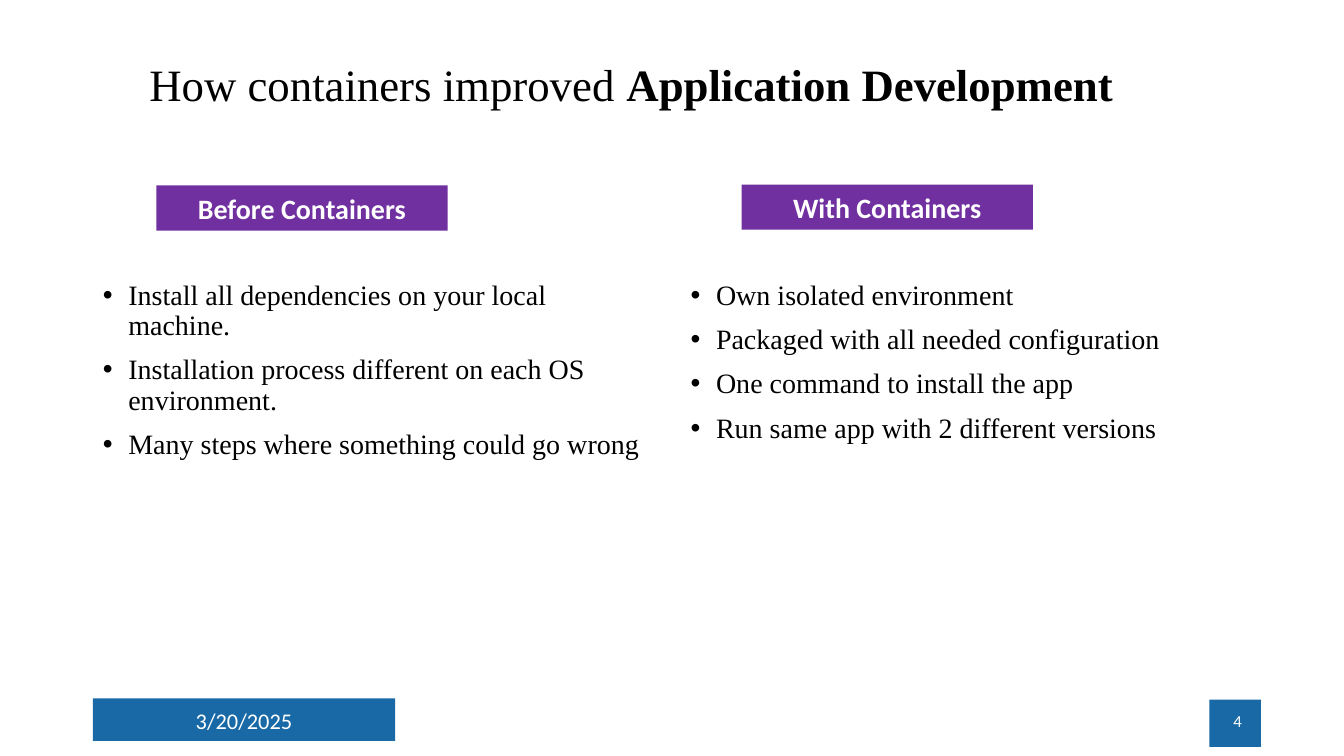
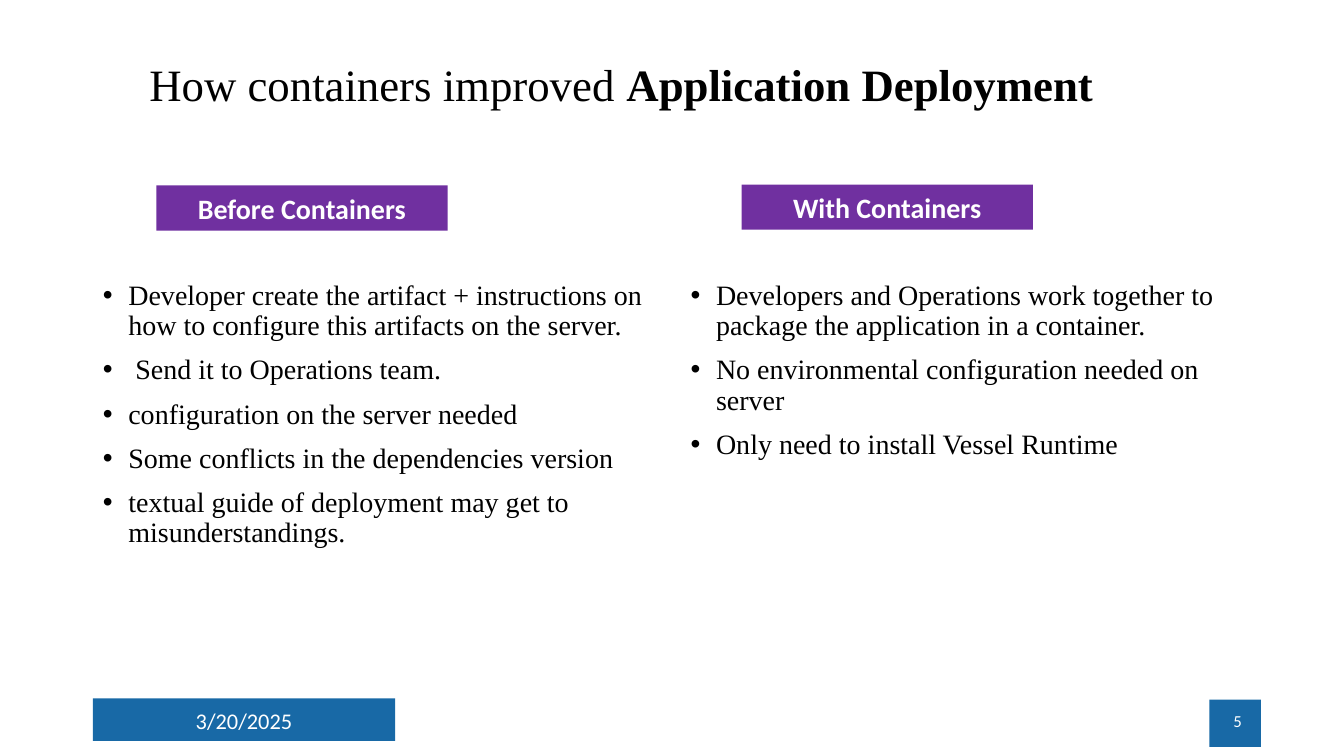
import pptx
import pptx.dml.color
import pptx.enum.shapes
import pptx.enum.text
import pptx.oxml
import pptx.oxml.ns
import pptx.util

Cm = pptx.util.Cm
Pt = pptx.util.Pt
PP_ALIGN = pptx.enum.text.PP_ALIGN
MSO_ANCHOR = pptx.enum.text.MSO_ANCHOR

BLACK = pptx.dml.color.RGBColor(0x00, 0x00, 0x00)
WHITE = pptx.dml.color.RGBColor(0xFF, 0xFF, 0xFF)
BLUE = pptx.dml.color.RGBColor(0x18, 0x69, 0xA6)
PURPLE = pptx.dml.color.RGBColor(0x70, 0x30, 0xA0)
SERIF = "Times New Roman"
SANS = "Calibri"

FIRST_NUMBER = 4
DATE = "3/20/2025"
HEADINGS = ["Before Containers", "With Containers"]
SLIDES = [
    ("Application Development", [
        ["Install all dependencies on your local machine.",
         "Installation process different on each OS environment.",
         "Many steps where something could go wrong"],
        ["Own isolated environment",
         "Packaged with all needed configuration",
         "One command to install the app",
         "Run same app with 2 different versions"],
    ]),
    ("Application Deployment", [
        ["Developer create the artifact + instructions on how to configure this artifacts on the server.",
         " Send it to Operations team.",
         "configuration on the server needed",
         "Some conflicts in the dependencies version",
         "textual guide of deployment may get to misunderstandings."],
        ["Developers and Operations work together to package the application in a container.",
         "No environmental configuration needed on server",
         "Only need to install Vessel Runtime"],
    ]),
]

# Placeholder positions on the comparison layout: left, top, width, height in cm
PLACES = {
    0: (3.51, 0.94, 30.35, 2.49),
    1: (3.94, 4.67, 7.34, 1.14),
    2: (2.34, 6.96, 14.33, 10.24),
    3: (18.69, 4.65, 7.34, 1.14),
    4: (17.15, 6.96, 14.4, 10.24),
}
BANDS = [(2.34, 17.6, 7.62, 1.07), (30.48, 17.63, 1.3, 1.19)]


def add_run(paragraph, text, size, font_name, color, bold=False):
    run = paragraph.add_run()
    run.text = text
    run.font.size = Pt(size)
    run.font.name = font_name
    run.font.color.rgb = color
    run.font.bold = bold
    return run


def add_footer_text(slide, left, text, size, alignment):
    text_box = slide.shapes.add_textbox(Cm(left), Cm(17.65), Cm(7.62), Cm(1.02))
    text_box.text_frame.word_wrap = True
    text_box.text_frame.vertical_anchor = MSO_ANCHOR.MIDDLE
    paragraph = text_box.text_frame.paragraphs[0]
    paragraph.alignment = alignment
    return add_run(paragraph, text, size, SANS, WHITE)


presentation = pptx.Presentation()
presentation.slide_width = Cm(33.87)
presentation.slide_height = Cm(19.05)
presentation.element.set("firstSlideNum", str(FIRST_NUMBER))

# Shared layout: placeholder positions
layout = presentation.slide_layouts.get_by_name("Comparison")
for placeholder in layout.placeholders:
    place = PLACES.get(placeholder.placeholder_format.idx)
    if place:
        placeholder.left, placeholder.top, placeholder.width, placeholder.height = map(Cm, place)

slides = [presentation.slides.add_slide(layout) for _ in SLIDES]

# Shared layout: blue footer bands, drawn on a slide and moved to the layout
for band_id, place in enumerate(BANDS, start=20):
    band = slides[0].shapes.add_shape(
        pptx.enum.shapes.MSO_SHAPE.RECTANGLE, *map(Cm, place))
    band.shadow.inherit = False
    band.fill.solid()
    band.fill.fore_color.rgb = BLUE
    band.line.fill.background()
    band.element.nvSpPr.cNvPr.set("id", str(band_id))
    layout.shapes.element.append(band.element)

for number, (slide, (topic, columns)) in enumerate(zip(slides, SLIDES), FIRST_NUMBER):
    # Title
    title_frame = slide.shapes.title.text_frame
    title_frame.vertical_anchor = MSO_ANCHOR.MIDDLE
    title_frame.auto_size = pptx.enum.text.MSO_AUTO_SIZE.NONE
    paragraph = title_frame.paragraphs[0]
    paragraph.alignment = PP_ALIGN.LEFT
    paragraph.line_spacing = 0.9
    add_run(paragraph, "How containers improved ", 32, SERIF, BLACK)
    add_run(paragraph, topic, 32, SERIF, BLACK, bold=True)

    for column, (heading_text, items) in enumerate(zip(HEADINGS, columns)):
        # Column heading
        heading = slide.placeholders[1 + 2 * column]
        heading.fill.solid()
        heading.fill.fore_color.rgb = PURPLE
        heading.text_frame.vertical_anchor = MSO_ANCHOR.BOTTOM
        heading.text_frame.auto_size = pptx.enum.text.MSO_AUTO_SIZE.NONE
        paragraph = heading.text_frame.paragraphs[0]
        paragraph.alignment = PP_ALIGN.CENTER
        paragraph.line_spacing = 0.9
        paragraph.space_before = Pt(10)
        add_run(paragraph, heading_text, 20, SANS, WHITE, bold=True)

        # Column list
        text_frame = slide.placeholders[2 + 2 * column].text_frame
        text_frame.auto_size = pptx.enum.text.MSO_AUTO_SIZE.NONE
        for index, item in enumerate(items):
            paragraph = text_frame.add_paragraph() if index else text_frame.paragraphs[0]
            paragraph.line_spacing = 0.9
            paragraph.space_before = Pt(10)
            properties = paragraph._p.get_or_add_pPr()
            properties.set("marL", str(Cm(0.64)))
            properties.set("indent", str(-Cm(0.64)))
            add_run(paragraph, item, 20, SERIF, BLACK)

    # Footer: date and a live slide number field
    add_footer_text(slide, 2.34, DATE, 16, PP_ALIGN.CENTER)
    number_run = add_footer_text(slide, 23.93, str(number), 12, PP_ALIGN.RIGHT)._r
    field = pptx.oxml.parse_xml(
        '<a:fld %s id="{B6F15528-21DE-4FAA-801E-634DDDAF4B2B}" type="slidenum"/>'
        % pptx.oxml.ns.nsdecls("a"))
    number_run.addprevious(field)
    field.extend(list(number_run))
    number_run.getparent().remove(number_run)

presentation.save("out.pptx")
